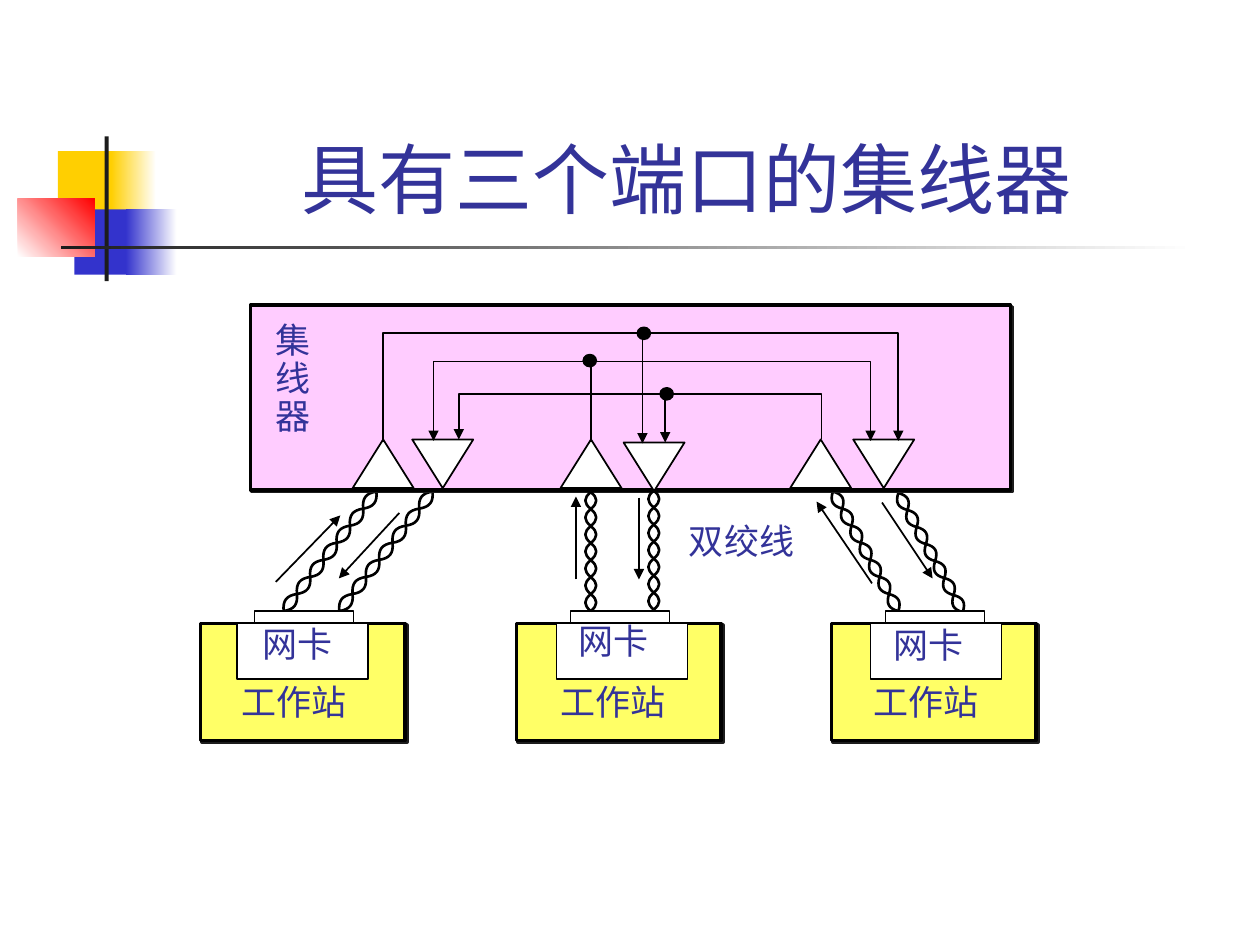
"""Build a slide showing a three-port hub wired to three workstations."""
from dataclasses import dataclass
from math import hypot

from lxml.etree import SubElement
from pptx import Presentation
from pptx.dml.color import RGBColor
from pptx.enum.shapes import MSO_CONNECTOR as Link, MSO_SHAPE as Shape
from pptx.enum.text import MSO_ANCHOR as Anchor, MSO_AUTO_SIZE as AutoSize, PP_ALIGN as Align
from pptx.oxml.ns import qn
from pptx.util import Cm, Pt


@dataclass(frozen=True)
class Theme:
    """Hold the colours, fonts, type sizes and line widths."""
    ink: str = "000000"
    paper: str = "FFFFFF"
    text: str = "333399"
    hub: str = "FFCCFF"
    station: str = "FFFF66"
    shade: str = "1C1C1C"
    yellow: str = "FFCF01"
    blue: str = "3333CC"
    red: str = "FF0000"
    title_font: str = "Arial"
    label_font: str = "Times New Roman"
    title_size: int = 44
    label_size: int = 20
    thin: float = 1
    cable: float = 1.5
    thick: float = 2


THEME = Theme()
SLANTED_PAIRS = [((5.72, 12.32), (7.59, 9.91)), ((6.84, 12.32), (8.72, 9.91)),
                 ((18.11, 12.32), (16.79, 9.91)), ((19.41, 12.34), (18.11, 9.94))]
UPRIGHT_PAIRS = [((13.18, 12.29), (13.18, 9.89)), ((11.91, 12.32), (11.91, 9.92))]
WIRES = [
    [(16.56, 8.86), (16.56, 7.95), (9.25, 7.95), (9.25, 8.86)],
    [(11.91, 8.92), (11.91, 7.29), (17.55, 7.29), (17.55, 8.89)],
    [(11.91, 7.29), (8.74, 7.29), (8.74, 8.89)],
    [(7.72, 8.92), (7.72, 6.71), (18.11, 6.71), (18.11, 8.89)],
]
DROPS = [((13.41, 7.98), (13.41, 8.92)), ((12.95, 6.76), (12.95, 8.94))]
JUNCTIONS = [(11.89, 7.27), (12.98, 6.72), (13.44, 7.94)]
FLOWS = [((11.61, 11.68), (11.61, 10.01)), ((12.88, 10.03), (12.88, 11.68)),
         ((5.56, 11.73), (6.86, 10.39)), ((8.05, 10.34), (6.83, 11.66)),
         ((17.58, 11.76), (16.46, 10.11)), ((17.78, 10.13), (18.80, 11.66))]
SENDERS = [(7.11, 8.86), (11.30, 8.86), (15.93, 8.86)]
RECEIVERS = [(8.31, 8.86), (12.57, 8.92), (17.20, 8.86)]
STATIONS = [(10.41, 11.22, 12.37, 11.05), (4.04, 4.78, 12.42, 4.62), (16.76, 17.55, 12.45, 17.35)]


def rgb(code):
    """Turn a hex code into a colour."""
    return RGBColor.from_string(code)


def set_line(item, width):
    """Give an item a plain ink line."""
    item.line.color.rgb = rgb(THEME.ink)
    item.line.width = Pt(width)


def add_arrowhead(item):
    """Put a triangle at the end of a line."""
    SubElement(item.line._get_or_add_ln(), qn("a:tailEnd"), type="triangle")


def add_block(page, kind, left, top, width, height, fill, line=None):
    """Add a filled preset shape, outlined when a line width is given."""
    block = page.shapes.add_shape(kind, Cm(left), Cm(top), Cm(width), Cm(height))
    block.shadow.inherit = False
    block.fill.solid()
    block.fill.fore_color.rgb = rgb(fill)
    if line:
        set_line(block, line)
    else:
        block.line.fill.background()
    return block


def add_fade(page, left, top, width, height, start, end, angle=0):
    """Add a rectangle that fades from one colour to another."""
    block = add_block(page, Shape.RECTANGLE, left, top, width, height, start)
    block.fill.gradient()
    block.fill.gradient_angle = angle
    for stop, code in zip(block.fill.gradient_stops, (start, end)):
        stop.color.rgb = rgb(code)


def add_raised_box(page, left, top, width, height, fill):
    """Add a thick-edged rectangle with a hard offset shadow."""
    box = add_block(page, Shape.RECTANGLE, left, top, width, height, fill, THEME.thick)
    effects = box._element.spPr.find(qn("a:effectLst"))
    shadow = SubElement(effects, qn("a:outerShdw"), blurRad="0", dist=str(Pt(1.4)),
                        dir="2700000", algn="ctr", rotWithShape="0")
    SubElement(shadow, qn("a:srgbClr"), val=THEME.shade)


def add_trace(page, points, width):
    """Add an open unfilled outline through the points."""
    start, *rest = [(Cm(x), Cm(y)) for x, y in points]
    builder = page.shapes.build_freeform(*start)
    builder.add_line_segments(rest, close=False)
    trace = builder.convert_to_shape()
    trace.shadow.inherit = False
    trace.fill.background()
    set_line(trace, width)
    return trace


def bend(trace):
    """Turn each three straight segments of an outline into one cubic curve."""
    outline = next(trace._element.spPr.iter(qn("a:path")))
    segments = outline.findall(qn("a:lnTo"))
    for first in range(0, len(segments), 3):
        curve = SubElement(outline, qn("a:cubicBezTo"))
        for segment in segments[first:first + 3]:
            curve.append(segment[0])
            outline.remove(segment)


def add_twisted_pair(page, start, end, half_waves=7, swing=0.11):
    """Add two mirrored wavy strands along an axis."""
    (x, y), dx, dy = start, end[0] - start[0], end[1] - start[1]
    reach = swing * 4 / 3 / hypot(dx, dy)
    for side in (-reach, reach):
        points = [start]
        for wave in range(half_waves):
            shift = side * (-1) ** wave
            for along, across in ((0.36, shift), (0.64, shift), (1, 0)):
                part = (wave + along) / half_waves
                points.append((x + dx * part - dy * across, y + dy * part + dx * across))
        bend(add_trace(page, points, THEME.cable))


def add_arrow(page, start, end):
    """Add a straight arrow."""
    ends = [Cm(value) for value in (*start, *end)]
    arrow = page.shapes.add_connector(Link.STRAIGHT, *ends)
    set_line(arrow, THEME.thin)
    add_arrowhead(arrow)
    SubElement(arrow._element.spPr, qn("a:effectLst"))


def format_text(frame, font, size):
    """Set the font of every run in a text frame."""
    for para in frame.paragraphs:
        for span in para.runs:
            span.font.name = font
            span.font.size = Pt(size)
            span.font.color.rgb = rgb(THEME.text)


def add_label(page, text, left, top, width, height=1.09, spacing=None):
    """Add a text label that does not wrap."""
    frame = page.shapes.add_textbox(Cm(left), Cm(top), Cm(width), Cm(height)).text_frame
    frame.text = text
    frame.word_wrap = False
    frame.auto_size = AutoSize.SHAPE_TO_FIT_TEXT
    for para in frame.paragraphs:
        para.line_spacing = spacing
    format_text(frame, THEME.label_font, THEME.label_size)


def set_title(page, text):
    """Place and format the title."""
    title = page.shapes.title
    title.left, title.top, title.width, title.height = Cm(3.2), Cm(0.58), Cm(21.64), Cm(4.06)
    frame = title.text_frame
    frame.text = text
    frame.auto_size = AutoSize.NONE
    frame.vertical_anchor = Anchor.BOTTOM
    frame.paragraphs[0].alignment = Align.CENTER
    format_text(frame, THEME.title_font, THEME.title_size)


def add_ornament(page):
    """Add the coloured squares and the rule beside the title."""
    add_block(page, Shape.RECTANGLE, 1.17, 3.05, 1.22, 1.32, THEME.yellow)
    add_fade(page, 2.24, 3.05, 0.91, 1.32, THEME.yellow, THEME.paper)
    add_block(page, Shape.RECTANGLE, 1.5, 4.22, 1.17, 1.32, THEME.blue)
    add_fade(page, 2.54, 4.22, 1.02, 1.32, THEME.blue, THEME.paper)
    add_fade(page, 0.36, 4.01, 1.55, 1.17, THEME.paper, THEME.red, 45)
    add_block(page, Shape.RECTANGLE, 2.11, 2.75, 0.08, 2.92, THEME.shade)
    add_fade(page, 1.23, 4.95, 22.86, 0.08, THEME.shade, THEME.paper)


def add_hub(page):
    """Add the hub with its ports and inner wiring."""
    add_raised_box(page, 5.05, 6.15, 15.32, 3.73, THEME.hub)
    for ports, turn in ((SENDERS, 0), (RECEIVERS, 180)):
        for left, top in ports:
            port = add_block(page, Shape.ISOSCELES_TRIANGLE, left, top, 1.23, 0.98,
                             THEME.paper, THEME.thin)
            port.rotation = turn
    for points in WIRES:
        add_arrowhead(add_trace(page, points, THEME.thin))
    for start, end in DROPS:
        add_arrow(page, start, end)
    for x, y in JUNCTIONS:
        add_block(page, Shape.OVAL, x - 0.13, y - 0.12, 0.26, 0.24, THEME.ink, THEME.thin)
    add_label(page, "集\n线\n器", 5.31, 6.4, 1.22, 2.54, 0.9)


def add_station(page, left, card_left, card_text_top, caption_left):
    """Add a workstation with its network card."""
    add_raised_box(page, left, 12.57, 4.13, 2.36, THEME.station)
    add_block(page, Shape.RECTANGLE, card_left, 12.57, 2.64, 1.12, THEME.paper, THEME.thin)
    add_label(page, "网卡", left + 1, card_text_top, 1.93)
    add_label(page, "工作站", caption_left, 13.59, 2.62)
    add_block(page, Shape.RECTANGLE, left + 1.09, 12.32, 2, 0.23, THEME.paper, THEME.thin)


def main():
    """Build and save the deck."""
    deck = Presentation()
    deck.slide_width, deck.slide_height = Cm(25.4), Cm(19.05)
    page = deck.slides.add_slide(deck.slide_layouts[5])
    add_ornament(page)
    set_title(page, "具有三个端口的集线器 ")
    for start, end in SLANTED_PAIRS:
        add_twisted_pair(page, start, end)
    add_hub(page)
    for station in STATIONS:
        add_station(page, *station)
    for start, end in FLOWS:
        add_arrow(page, start, end)
    add_label(page, "双绞线", 13.64, 10.34, 2.62)
    for start, end in UPRIGHT_PAIRS:
        add_twisted_pair(page, start, end)
    deck.save("out.pptx")


if __name__ == "__main__":
    main()
